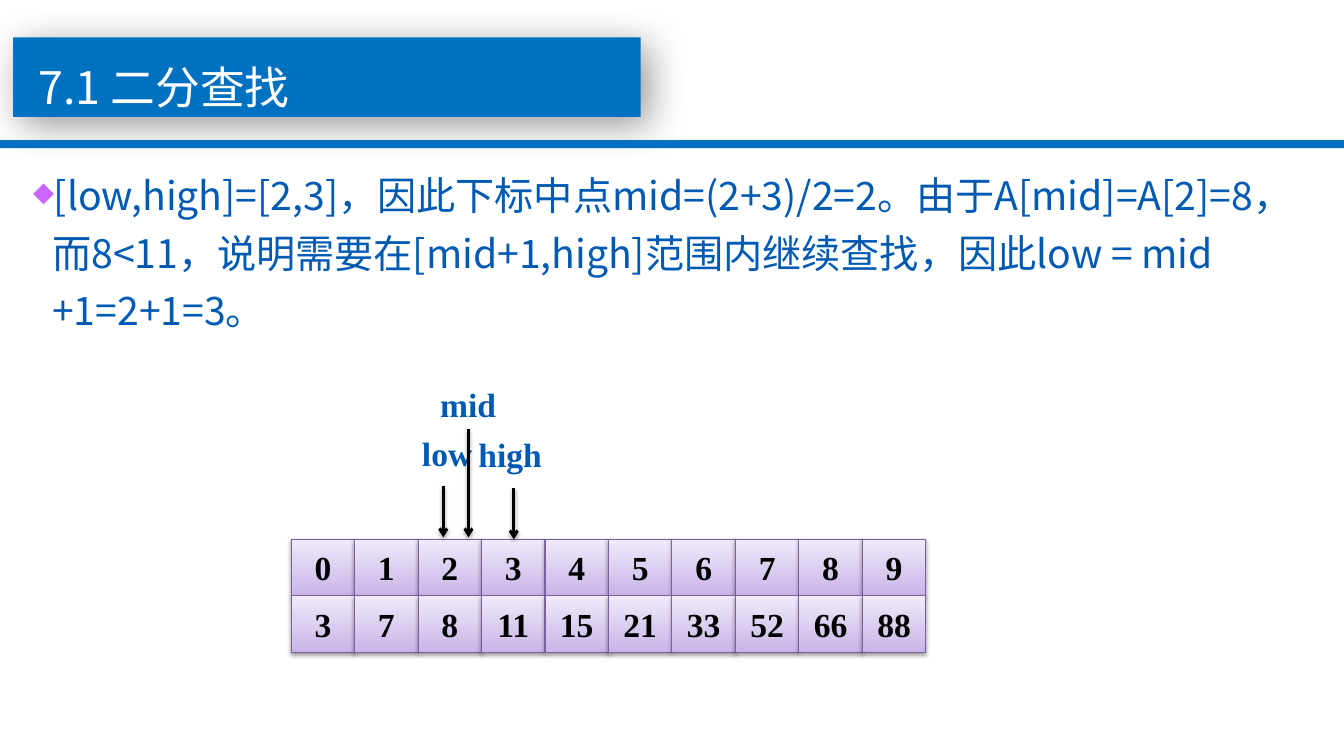
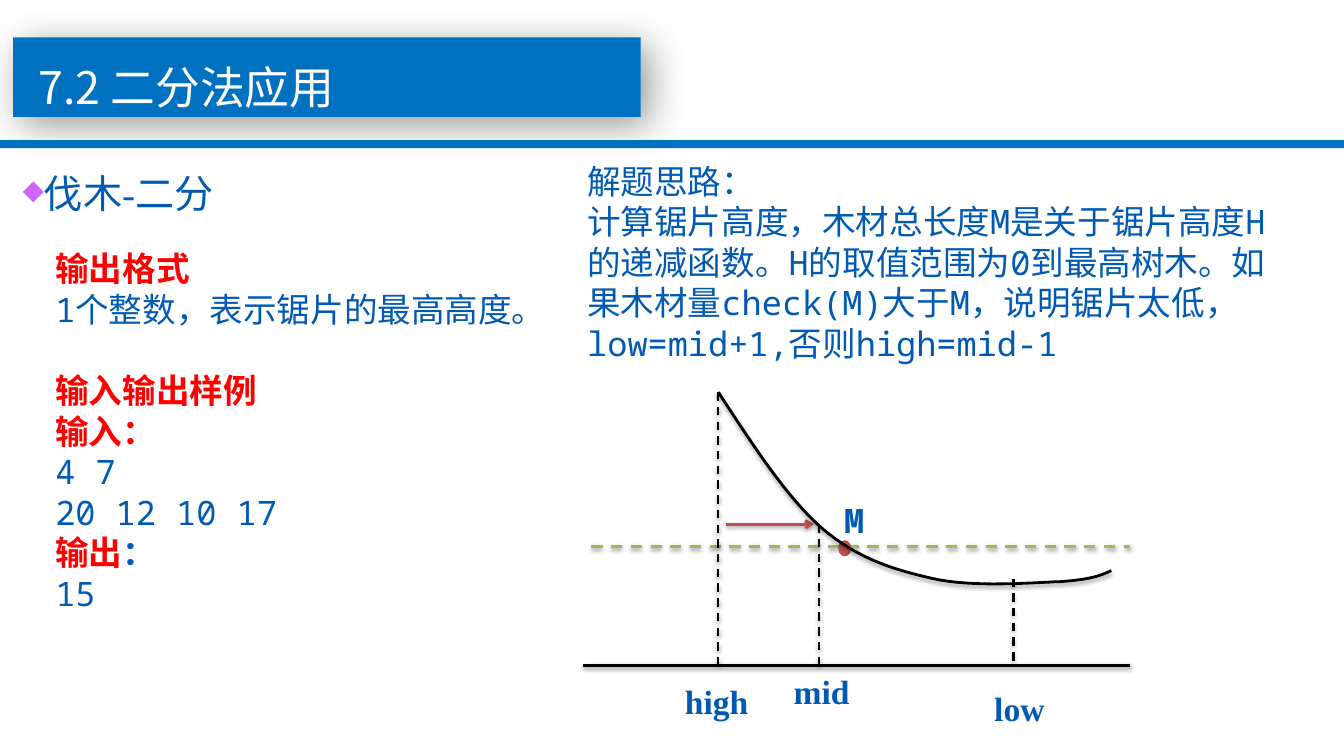
from dataclasses import dataclass
from typing import Any, Optional

from lxml.etree import SubElement
from pptx import Presentation
from pptx.dml.color import RGBColor
from pptx.enum.dml import MSO_LINE
from pptx.enum.shapes import MSO_CONNECTOR, MSO_SHAPE
from pptx.enum.text import MSO_ANCHOR, MSO_AUTO_SIZE, PP_ALIGN
from pptx.oxml.ns import qn
from pptx.util import Inches, Pt

BRAND = "0070C0"
BLUE = "005AB4"
RED = "FF0000"
BLACK = "000000"
WHITE = "FFFFFF"
BRICK = "C0504D"
GREEN = "9BBB59"
PURPLE = "7D60A0"
SANS = "Noto Sans CJK SC"
MONO = "Noto Sans Mono"
SERIF = "Times New Roman"


@dataclass(frozen=True)
class Box:
    left: float
    top: float
    width: float
    height: float

    def lengths(self) -> tuple:
        return tuple(Inches(value) for value in (self.left, self.top, self.width, self.height))


@dataclass(frozen=True)
class Shadow:
    opacity: int
    blur: float
    distance: float
    angle: int


@dataclass(frozen=True)
class Line:
    start: tuple[float, float]
    end: tuple[float, float]
    color: str = BLACK
    width: float = 2
    dashed: bool = False
    arrow: bool = False


@dataclass(frozen=True)
class Label:
    text: str
    box: Box
    font: str = SERIF


@dataclass(frozen=True)
class Entry:
    runs: tuple[tuple[str, str, bool], ...]
    space_before: float = 0


BAND_SHADOW = Shadow(40, 28, 8, 45)
SOFT_SHADOW = Shadow(38, 3.1, 1.6, 90)


def rgb(color: str) -> RGBColor:
    return RGBColor.from_string(color)


def add_shadow(shape: Any, shadow: Shadow) -> None:
    properties = shape.element.spPr
    effects = properties.find(qn("a:effectLst"))
    if effects is None:
        effects = SubElement(properties, qn("a:effectLst"))
    outer = SubElement(
        effects, qn("a:outerShdw"), blurRad=str(int(Pt(shadow.blur))),
        dist=str(int(Pt(shadow.distance))), dir=str(shadow.angle * 60000), rotWithShape="0")
    color = SubElement(outer, qn("a:srgbClr"), val=BLACK)
    SubElement(color, qn("a:alpha"), val=str(shadow.opacity * 1000))


def write_text(paragraph: Any, text: str, *, size: float = 24, font: str = SERIF,
               color: str = BLUE, bold: bool = False, spacing: Optional[float] = None,
               align: PP_ALIGN = PP_ALIGN.LEFT) -> None:
    paragraph.alignment = align
    if spacing:
        paragraph.line_spacing = Pt(spacing)
    run = paragraph.add_run()
    run.text = text
    run.font.size = Pt(size)
    run.font.bold = bold
    run.font.color.rgb = rgb(color)
    run.font.name = font
    SubElement(run._r.get_or_add_rPr(), qn("a:ea"), typeface=SANS)


def add_text_box(slide: Any, box: Box, wrap: bool = True) -> Any:
    frame = slide.shapes.add_textbox(*box.lengths()).text_frame
    frame.word_wrap = wrap
    frame.auto_size = MSO_AUTO_SIZE.NONE if wrap else MSO_AUTO_SIZE.SHAPE_TO_FIT_TEXT
    return frame


def add_label(slide: Any, label: Label) -> None:
    frame = add_text_box(slide, label.box, wrap=False)
    write_text(frame.paragraphs[0], label.text, font=label.font, bold=True,
               spacing=29 if label.font == MONO else None)


def add_bullet(slide: Any, box: Box, text: str, font: str) -> None:
    paragraph = add_text_box(slide, box).paragraphs[0]
    properties = paragraph._p.get_or_add_pPr()
    properties.set("marL", str(int(Inches(0.19))))
    properties.set("indent", str(int(Inches(-0.5))))
    color = SubElement(properties, qn("a:buClr"))
    SubElement(color, qn("a:srgbClr"), val="CC66FF")
    SubElement(properties, qn("a:buSzPct"), val="70000")
    SubElement(properties, qn("a:buChar"), char="◆")
    write_text(paragraph, text, size=28, font=font, spacing=41)


def add_entries(slide: Any, box: Box, entries: list[Entry]) -> None:
    frame = add_text_box(slide, box)
    for index, entry in enumerate(entries):
        paragraph = frame.add_paragraph() if index else frame.paragraphs[0]
        if entry.space_before:
            paragraph.space_before = Pt(entry.space_before)
        for text, color, bold in entry.runs:
            write_text(paragraph, text, font=MONO, color=color, bold=bold, spacing=29)


def add_solid(slide: Any, kind: MSO_SHAPE, box: Box, color: str) -> Any:
    shape = slide.shapes.add_shape(kind, *box.lengths())
    shape.shadow.inherit = False
    shape.fill.solid()
    shape.fill.fore_color.rgb = rgb(color)
    shape.line.fill.background()
    return shape


def add_line(slide: Any, line: Line) -> None:
    points = [Inches(value) for value in (*line.start, *line.end)]
    connector = slide.shapes.add_connector(MSO_CONNECTOR.STRAIGHT, *points)
    connector.line.color.rgb = rgb(line.color)
    connector.line.width = Pt(line.width)
    if line.dashed:
        connector.line.dash_style = MSO_LINE.DASH
    if line.arrow:
        SubElement(connector.element.spPr.find(qn("a:ln")), qn("a:tailEnd"), type="arrow")
    add_shadow(connector, SOFT_SHADOW)


def add_cell(slide: Any, box: Box, text: str) -> None:
    cell = slide.shapes.add_shape(MSO_SHAPE.RECTANGLE, *box.lengths())
    cell.shadow.inherit = False
    cell.fill.gradient()
    cell.fill.gradient_angle = 90
    for stop, color in zip(cell.fill.gradient_stops, ("C9B5E8", "F0EAF9")):
        stop.color.rgb = rgb(color)
    cell.line.color.rgb = rgb(PURPLE)
    cell.line.width = Pt(0.75)
    add_shadow(cell, SOFT_SHADOW)
    cell.text_frame.vertical_anchor = MSO_ANCHOR.MIDDLE
    write_text(cell.text_frame.paragraphs[0], text, color=BLACK, bold=True,
               align=PP_ALIGN.CENTER)


def add_curve(slide: Any, start: tuple[float, float], segments: list[tuple]) -> None:
    steps = 16
    points = []
    origin = start
    for first, second, end in segments:
        for step in range(1, steps + 1):
            t = step / steps
            weights = ((1 - t) ** 3, 3 * t * (1 - t) ** 2, 3 * t ** 2 * (1 - t), t ** 3)
            controls = (origin, first, second, end)
            points.append(tuple(
                Inches(sum(weight * point[axis] for weight, point in zip(weights, controls)))
                for axis in (0, 1)))
        origin = end
    builder = slide.shapes.build_freeform(Inches(start[0]), Inches(start[1]))
    builder.add_line_segments(points, close=False)
    curve = builder.convert_to_shape()
    curve.shadow.inherit = False
    curve.fill.background()
    curve.line.color.rgb = rgb(BLACK)
    curve.line.width = Pt(2)
    add_shadow(curve, SOFT_SHADOW)


def move_bands_to_layout(slide: Any, layout: Any) -> None:
    title_band = add_solid(slide, MSO_SHAPE.RECTANGLE, Box(0.13, 0.37, 6.23, 0.79), BRAND)
    add_shadow(title_band, BAND_SHADOW)
    rule = add_solid(slide, MSO_SHAPE.RECTANGLE, Box(0, 1.39, 13.34, 0.08), BRAND)
    for number, band in enumerate((title_band, rule), start=20):
        band.element.nvSpPr.cNvPr.set("id", str(number))
        layout.shapes.element.append(band.element)


def add_titled_slide(presentation: Any, layout: Any, title: str) -> Any:
    slide = presentation.slides.add_slide(layout)
    placeholder = slide.shapes.title
    (placeholder.left, placeholder.top,
     placeholder.width, placeholder.height) = Box(0.28, 0.28, 5.51, 0.77).lengths()
    frame = placeholder.text_frame
    frame.word_wrap = True
    frame.auto_size = MSO_AUTO_SIZE.NONE
    frame.vertical_anchor = MSO_ANCHOR.TOP
    write_text(frame.paragraphs[0], title, size=32, font=SANS, color=WHITE, spacing=57)
    return slide


def fill_search_slide(slide: Any) -> None:
    add_bullet(
        slide, Box(0.23, 1.55, 12.74, 1.8),
        "[low,high]=[2,3]，因此下标中点mid=(2+3)/2=2。由于A[mid]=A[2]=8，而8<11，"
        "说明需要在[mid+1,high]范围内继续查找，因此low = mid +1=2+1=3。", SANS)
    values = (3, 7, 8, 11, 15, 21, 33, 52, 66, 88)
    width, height = 0.63, 0.56
    for row, numbers in enumerate((range(len(values)), values)):
        for column, number in enumerate(numbers):
            box = Box(2.89 + column * width, 5.35 + row * height, width, height)
            add_cell(slide, box, str(number))
    for label in (Label("low", Box(4.09, 4.25, 0.71, 0.5)),
                  Label("mid", Box(4.27, 3.76, 0.76, 0.5)),
                  Label("high", Box(4.65, 4.26, 0.84, 0.5))):
        add_label(slide, label)
    for x, top, bottom in ((4.4, 4.82, 5.33), (4.65, 4.26, 5.33), (5.1, 4.84, 5.35)):
        add_line(slide, Line((x, top), (x, bottom), arrow=True))


def fill_application_slide(slide: Any) -> None:
    add_bullet(slide, Box(0.13, 1.53, 12.74, 0.67), "伐木-二分", SERIF)
    add_entries(slide, Box(0.45, 2.41, 5.59, 3.74), [
        Entry((("输出格式", RED, True),)),
        Entry((("1个整数，表示锯片的最高高度。", BLUE, False),)),
        Entry((("输入输出样例", RED, True),), space_before=29),
        Entry((("输入：", RED, True),)),
        Entry((("4 7", BLUE, False),)),
        Entry((("20 12 10 17", BLUE, False),)),
        Entry((("输出", RED, True), ("：", BLUE, True))),
        Entry((("15", BLUE, False),)),
    ])
    add_entries(slide, Box(5.73, 1.54, 7.08, 2.12), [
        Entry((("解题思路：", BLUE, False),)),
        Entry((("计算锯片高度，木材总长度M是关于锯片高度H的递减函数。H的取值范围为0到最高树木。"
                "如果木材量check(M)大于M，说明锯片太低，low=mid+1,否则high=mid-1",
                BLUE, False),)),
    ])
    axis = 6.6
    add_line(slide, Line((5.79, axis), (11.22, axis)))
    add_line(slide, Line((5.87, 5.42), (11.22, 5.42), GREEN, dashed=True))
    add_solid(slide, MSO_SHAPE.OVAL, Box(8.32, 5.36, 0.13, 0.16), BRICK)
    for x, top in ((7.13, 3.89), (8.13, 5.2), (10.06, 5.74)):
        add_line(slide, Line((x, top), (x, axis), width=1.5, dashed=True))
    for label in (Label("M", Box(8.28, 4.91, 0.39, 0.5), MONO),
                  Label("high", Box(6.7, 6.71, 0.84, 0.5)),
                  Label("mid", Box(7.78, 6.61, 0.76, 0.5)),
                  Label("low", Box(9.77, 6.78, 0.71, 0.5))):
        add_label(slide, label)
    add_line(slide, Line((7.21, 5.2), (8.08, 5.2), BRICK, arrow=True))
    add_curve(slide, (7.13, 3.89), [
        ((7.47, 4.41), (7.81, 4.94), (8.17, 5.25)),
        ((8.53, 5.55), (8.87, 5.65), (9.26, 5.74)),
        ((9.66, 5.83), (10.24, 5.78), (10.53, 5.77)),
        ((10.82, 5.75), (10.93, 5.71), (11.03, 5.66)),
    ])


def main() -> None:
    presentation = Presentation()
    presentation.slide_width = Inches(13.34)
    presentation.slide_height = Inches(7.5)
    layout = presentation.slide_layouts.get_by_name("Title Only")
    search_slide = add_titled_slide(presentation, layout, "7.1 二分查找")
    move_bands_to_layout(search_slide, layout)
    fill_search_slide(search_slide)
    fill_application_slide(add_titled_slide(presentation, layout, "7.2 二分法应用"))
    presentation.save("out.pptx")


if __name__ == "__main__":
    main()
